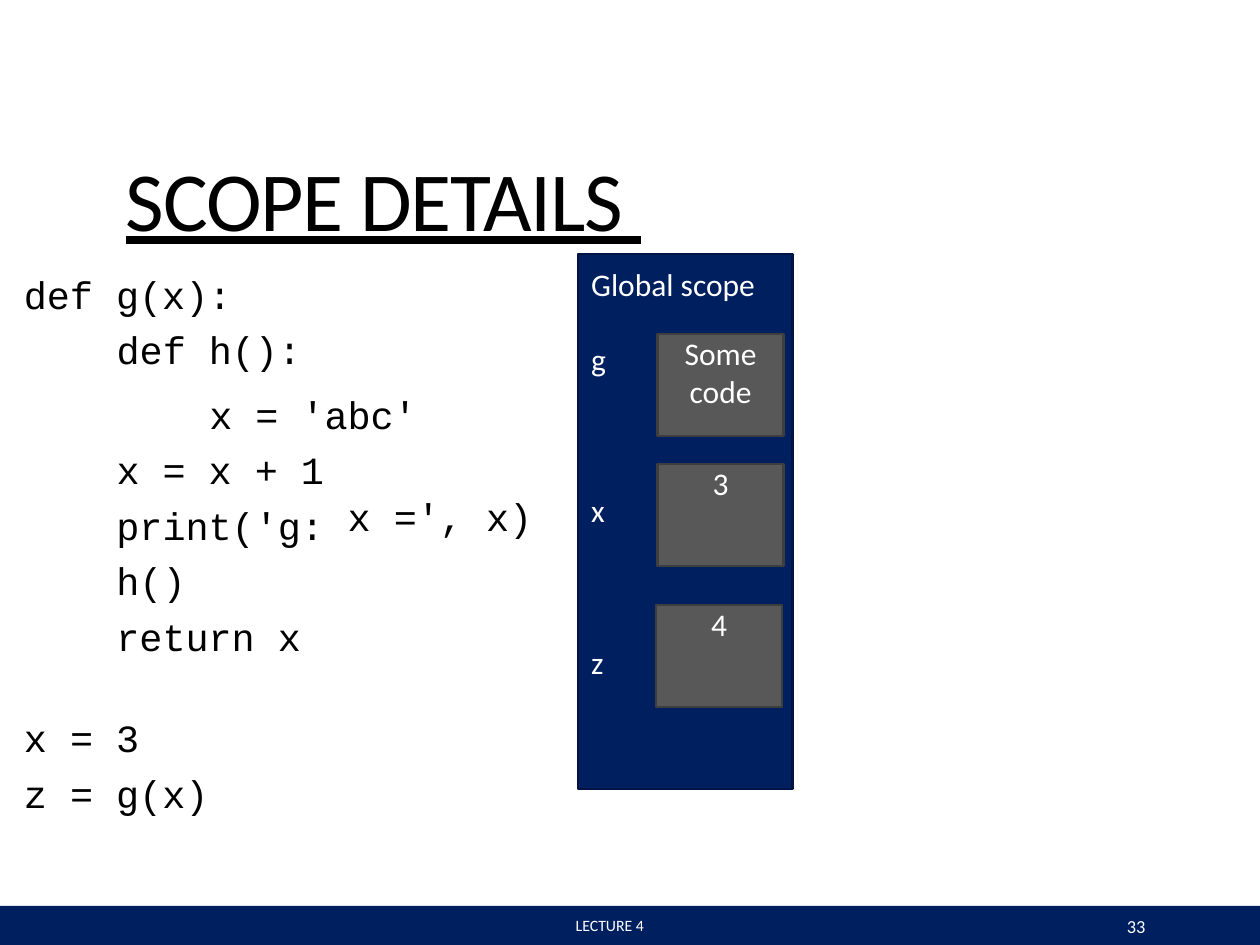
import pptx
import pptx.util
import pptx.dml.color
import pptx.enum.shapes
import pptx.enum.text

Pt = pptx.util.Pt
CENTER = pptx.enum.text.PP_ALIGN.CENTER
LEFT = pptx.enum.text.PP_ALIGN.LEFT


def color(hex_string):
    return pptx.dml.color.RGBColor.from_string(hex_string)


def add_part(box, lines, size=18, font="Calibri", ink="FFFFFF", fill=None,
             line=None, align=LEFT, spacing=None, before=0):
    place = [Pt(length) for length in box]
    if fill:
        part = slide.shapes.add_shape(
            pptx.enum.shapes.MSO_SHAPE.RECTANGLE, *place)
        part.shadow.inherit = False
        part.fill.solid()
        part.fill.fore_color.rgb = color(fill)
        if line:
            part.line.color.rgb = color(line)
            part.line.width = Pt(1.25)
        else:
            part.line.fill.background()
    else:
        part = slide.shapes.add_textbox(*place)
    frame = part.text_frame
    frame.word_wrap = True
    frame.vertical_anchor = pptx.enum.text.MSO_ANCHOR.TOP
    frame.margin_left = frame.margin_right = 0
    frame.margin_top = frame.margin_bottom = 0
    frame.text = "\n".join(lines)
    for number, paragraph in enumerate(frame.paragraphs):
        paragraph.alignment = align
        if spacing:
            paragraph.line_spacing = spacing
        if number and before:
            paragraph.space_before = Pt(before)
        for run in paragraph.runs:
            run.font.size = Pt(size)
            run.font.name = font
            run.font.color.rgb = color(ink)
    return frame


deck = pptx.Presentation()
deck.slide_width = Pt(720)
deck.slide_height = Pt(540)
slide = deck.slides.add_slide(deck.slide_layouts[6])

add_part((0, 517.7, 720, 22.3), [], fill="001F5F")

title = add_part((72, 84.5, 598, 60), ["SCOPE DETAILS "], 48, ink="000000")
title.paragraphs[0].runs[0].font.underline = True
title.paragraphs[0].runs[0]._r.get_or_add_rPr().set("spc", "-70")

add_part((330.5, 145.2, 122.4, 305.5), [], fill="001F5F", line="001344")
add_part((337.8, 151.4, 110, 20), ["Global scope"])

add_part((329, 523.3, 66, 11), ["LECTURE 4"], 9)
add_part((644, 522.9, 16, 13), ["33"], 10.5)

bindings = [
    ("g", ["Some", "code"], 375.8, 190.9),
    ("x", ["3"], 375.8, 265),
    ("z", ["4"], 375, 345.6),
]
for row, (variable, value, left, top) in enumerate(bindings):
    add_part((337.8, 194.4 + 86.4 * row, 12, 20), [variable])
    add_part((left, top, 72, 58.3), value, fill="585858", line="3E3E3E",
             align=CENTER)

code_blocks = [
    ((13.7, 154.8, 200, 55), ["def g(x):", "def h():"], [0, 53], None, 5.3),
    ((66.6, 218.2, 190, 55), ["x = 'abc'", "x = x + 1"], [53, 0], 1.2, 0),
    ((66.6, 281.5, 125, 87), ["print('g:", "h()", "return x"], [0, 0, 0], 1.2, 0),
    ((198.7, 281.5, 120, 24), ["x =', x)"], [0], None, 0),
    ((13.7, 408.2, 120, 55), ["x = 3", "z = g(x)"], [0, 0], None, 5.3),
]
for box, lines, indents, spacing, before in code_blocks:
    code = add_part(box, lines, 22, "Courier New", "000000",
                    spacing=spacing, before=before)
    for paragraph, indent in zip(code.paragraphs, indents):
        paragraph._p.get_or_add_pPr().set("marL", str(Pt(indent)))

deck.save("out.pptx")
